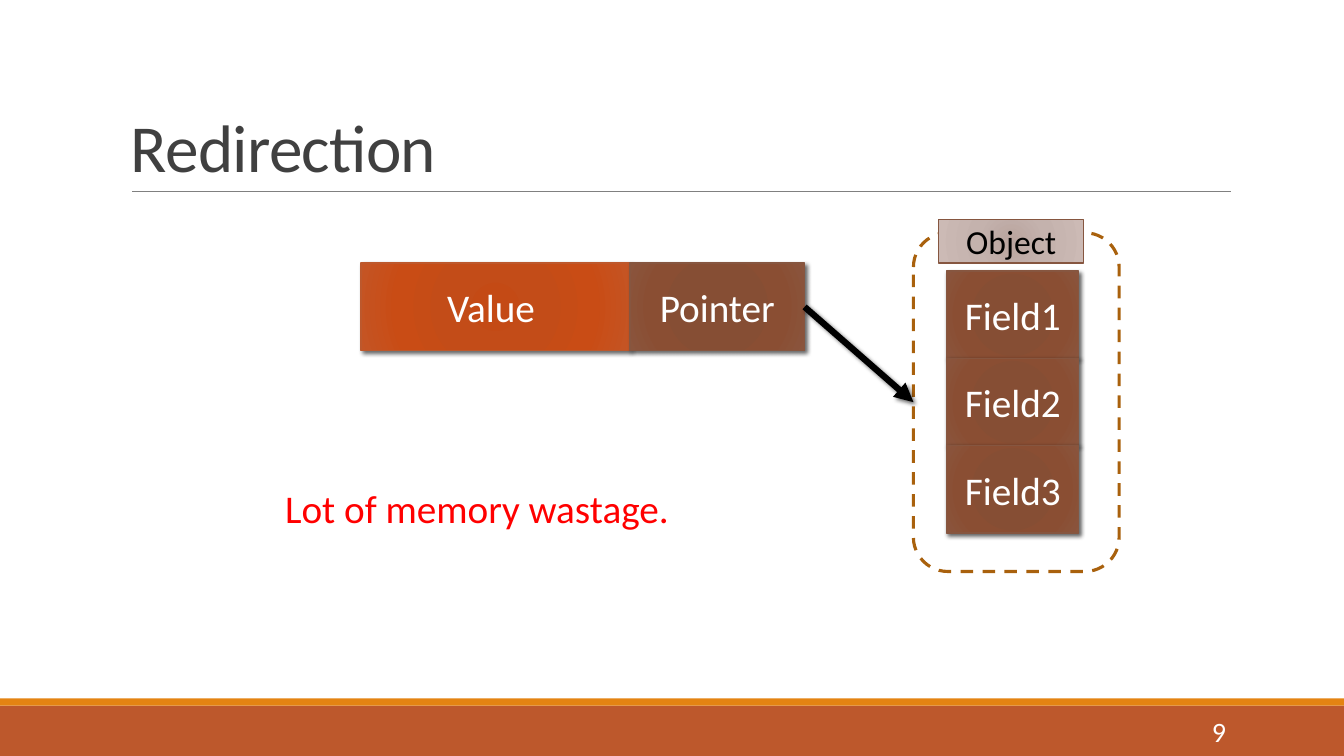
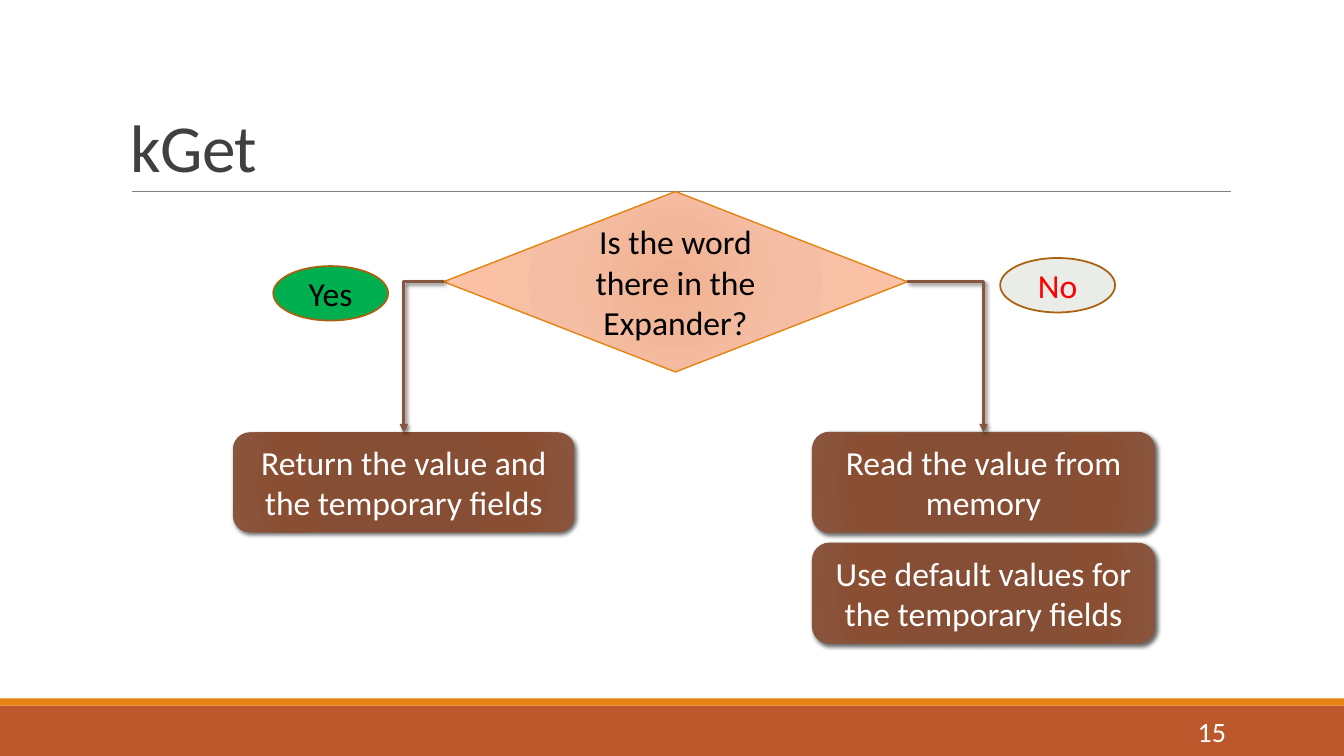
import pptx
import pptx.util
import pptx.dml.color
import pptx.enum.dml
import pptx.enum.shapes
import pptx.enum.text
import pptx.oxml
import pptx.oxml.ns
from lxml import etree

Inches = pptx.util.Inches
Pt = pptx.util.Pt
RGBColor = pptx.dml.color.RGBColor
SHAPE = pptx.enum.shapes.MSO_SHAPE
CONNECTOR = pptx.enum.shapes.MSO_CONNECTOR
ALIGN = pptx.enum.text.PP_ALIGN
ANCHOR = pptx.enum.text.MSO_ANCHOR
DASH = pptx.enum.dml.MSO_LINE.DASH
qn = pptx.oxml.ns.qn

FONT = "Calibri"
WHITE = RGBColor(0xFF, 0xFF, 0xFF)
BLACK = RGBColor(0x00, 0x00, 0x00)
RED = RGBColor(0xFF, 0x00, 0x00)
GREEN = RGBColor(0x00, 0xB0, 0x50)
PALE_GREY = RGBColor(0xEA, 0xEC, 0xE7)
GREY = RGBColor(0x80, 0x80, 0x80)
DARK_GREY = RGBColor(0x40, 0x40, 0x40)
RUST = RGBColor(0xBD, 0x58, 0x2C)
ORANGE = RGBColor(0xE4, 0x83, 0x12)
BROWN = RGBColor(0x86, 0x56, 0x40)
OCHRE = RGBColor(0xA9, 0x61, 0x0D)

RUST_GLOW = ((0, RGBColor(0xC4, 0x4A, 0x15)), (34, RGBColor(0xC3, 0x4C, 0x18)),
             (70, RGBColor(0xC9, 0x4C, 0x15)), (100, RGBColor(0xC4, 0x55, 0x25)))
BROWN_GLOW = ((0, RGBColor(0x87, 0x4C, 0x32)), (34, RGBColor(0x86, 0x4E, 0x34)),
              (70, RGBColor(0x8A, 0x4E, 0x33)), (100, RGBColor(0x8A, 0x55, 0x3D)))
MAUVE_GLOW = ((0, RGBColor(0xB9, 0xA4, 0x9E)), (45, RGBColor(0xC4, 0xB2, 0xAD)),
              (100, RGBColor(0xCC, 0xBA, 0xB5)))
PEACH_GLOW = ((0, RGBColor(0xF0, 0xB1, 0x91)), (45, RGBColor(0xF5, 0xBE, 0xA4)),
              (100, RGBColor(0xFD, 0xC3, 0xA8)))

RUST_BOX = {"fill": RUST_GLOW, "line": RUST, "shadow": True}
BROWN_BOX = {"fill": BROWN_GLOW, "line": BROWN, "shadow": True}
PLAIN_BROWN_BOX = {"fill": BROWN_GLOW, "shadow": True}
LABEL_BOX = {"fill": MAUVE_GLOW, "line": BROWN}
DECISION = {"fill": PEACH_GLOW, "line": ORANGE}
OUTLINE = {"line": OCHRE, "width": 2.25, "dash": DASH}
YES_OVAL = {"fill": GREEN, "line": OCHRE, "width": 1.25}
NO_OVAL = {"fill": PALE_GREY, "line": OCHRE, "width": 1.25}


def set_all(obj, values):
    for name, value in values.items():
        setattr(obj, name, value)


def put_text(sp, text, size, color, align=ALIGN.CENTER, anchor=ANCHOR.MIDDLE, wrap=True):
    tf = sp.text_frame
    set_all(tf, {"word_wrap": wrap, "vertical_anchor": anchor})
    p = tf.paragraphs[0]
    p.alignment = align
    r = p.add_run()
    r.text = text
    set_all(r.font, {"name": FONT, "size": Pt(size)})
    r.font.color.rgb = color
    return p


def add_text(s, box, text, size, color, **layout):
    sp = s.shapes.add_textbox(*map(Inches, box))
    return sp, put_text(sp, text, size, color, **layout)


def set_gradient(sp, stops):
    sp.fill.gradient()
    grad = sp._element.spPr.find(qn("a:gradFill"))
    for child in list(grad):
        grad.remove(child)
    gs_list = etree.SubElement(grad, qn("a:gsLst"))
    for pos, color in stops:
        gs = etree.SubElement(gs_list, qn("a:gs"), pos=str(pos * 1000))
        etree.SubElement(gs, qn("a:srgbClr"), val=str(color))
    circle = etree.SubElement(grad, qn("a:path"))
    circle.set("path", "circle")
    etree.SubElement(circle, qn("a:fillToRect"), {side: "100000" for side in "ltrb"})


def add_shadow(effects):
    shadow = etree.SubElement(effects, qn("a:outerShdw"), blurRad=str(Pt(3)), dist=str(Pt(2)),
                              dir="2700000", algn="tl", rotWithShape="0")
    color = etree.SubElement(shadow, qn("a:srgbClr"), val=str(BLACK))
    etree.SubElement(color, qn("a:alpha"), val="60000")


def add_box(s, kind, box, fill=None, line=None, width=1, dash=None, shadow=False):
    sp = s.shapes.add_shape(kind, *map(Inches, box))
    sp.shadow.inherit = False
    if isinstance(fill, tuple) and not isinstance(fill, RGBColor):
        set_gradient(sp, fill)
    elif fill is not None:
        sp.fill.solid()
        sp.fill.fore_color.rgb = fill
    else:
        sp.fill.background()
    if line is None:
        sp.line.fill.background()
    else:
        sp.line.color.rgb = line
        set_all(sp.line, {"width": Pt(width), "dash_style": dash})
    if shadow:
        add_shadow(sp._element.spPr.find(qn("a:effectLst")))
    return sp


def add_node(s, kind, box, text, size, color, style):
    sp = add_box(s, kind, box, **style)
    put_text(sp, text, size, color)
    return sp


def add_line(s, kind, ends, color, width):
    cx = s.shapes.add_connector(kind, *map(Inches, ends))
    cx.line.color.rgb = color
    cx.line.width = Pt(width)
    etree.SubElement(cx._element.spPr, qn("a:effectLst"))
    return cx


def add_arrow(s, kind, start, start_site, end, end_site, color, width):
    cx = add_line(s, kind, (0, 0, 0, 0), color, width)
    cx.begin_connect(start, start_site)
    cx.end_connect(end, end_site)
    spPr = cx._element.spPr
    if kind == CONNECTOR.ELBOW:
        spPr.find(qn("a:prstGeom")).set("prst", "bentConnector2")
    etree.SubElement(spPr.find(qn("a:ln")), qn("a:tailEnd"), type="triangle")
    add_shadow(spPr.find(qn("a:effectLst")))


def add_slide(prs, title, number):
    s = prs.slides.add_slide(prs.slide_layouts[6])
    add_box(s, SHAPE.RECTANGLE, (0, 7, 13.33, 0.5), fill=RUST)
    add_box(s, SHAPE.RECTANGLE, (0, 6.93, 13.33, 0.07), fill=ORANGE)
    add_line(s, CONNECTOR.STRAIGHT, (1.31, 1.9, 12.21, 1.9), GREY, 0.5)
    sp, p = add_text(s, (1.2, 0.31, 11, 1.59), title, 48, DARK_GREY,
                     align=ALIGN.LEFT, anchor=ANCHOR.BOTTOM)
    p.line_spacing = 0.85
    p.runs[0].font._element.set("spc", "-50")
    add_text(s, (10.83, 7.06, 1.43, 0.4), number, 20, WHITE, align=ALIGN.RIGHT)
    return s


def redirection_slide(prs):
    s = add_slide(prs, "Redirection", "9")
    add_node(s, SHAPE.RECTANGLE, (3.58, 2.61, 2.67, 0.87), "Value ", 28, WHITE, RUST_BOX)
    pointer = add_node(s, SHAPE.RECTANGLE, (6.25, 2.61, 1.73, 0.87), "Pointer", 28, WHITE,
                       BROWN_BOX)
    for i in range(3):
        add_node(s, SHAPE.RECTANGLE, (9.39, 2.69 + i * 0.865, 1.31, 0.87), f"Field{i + 1}",
                 28, WHITE, BROWN_BOX)
    outline = add_box(s, SHAPE.ROUNDED_RECTANGLE, (9.06, 2.31, 2.04, 3.36), **OUTLINE)
    add_arrow(s, CONNECTOR.STRAIGHT, pointer, 3, outline, 1, BLACK, 4.5)
    add_node(s, SHAPE.RECTANGLE, (9.31, 2.18, 1.44, 0.43), "Object", 24, BLACK, LABEL_BOX)
    sp, p = add_text(s, (2.73, 4.76, 4.04, 0.57), "Lot of memory wastage.", 28, RED,
                     align=ALIGN.LEFT, anchor=ANCHOR.TOP, wrap=False)
    sp.text_frame.auto_size = pptx.enum.text.MSO_AUTO_SIZE.SHAPE_TO_FIT_TEXT


def kget_slide(prs):
    s = add_slide(prs, "kGet", "15")
    decision = add_node(s, SHAPE.FLOWCHART_DECISION, (4.4, 1.9, 4.6, 1.79),
                        "Is the word there in the Expander?", 24, BLACK, DECISION)
    steps = [
        add_node(s, SHAPE.ROUNDED_RECTANGLE, (x, y, 3.39, 0.99), text, 24, WHITE, style)
        for x, y, text, style in (
            (2.31, 4.29, "Return the value and the temporary fields", PLAIN_BROWN_BOX),
            (8.06, 4.29, "Read the value from memory", BROWN_BOX),
            (8.06, 5.39, "Use default values for the temporary fields", BROWN_BOX),
        )
    ]
    for site, step in zip((1, 3), steps):
        add_arrow(s, CONNECTOR.ELBOW, decision, site, step, 0, BROWN, 2)
    add_node(s, SHAPE.OVAL, (2.71, 2.64, 1.14, 0.54), "Yes", 24, BLACK, YES_OVAL)
    add_node(s, SHAPE.OVAL, (9.92, 2.56, 1.14, 0.54), "No", 24, RED, NO_OVAL)


def main():
    prs = pptx.Presentation()
    set_all(prs, {"slide_width": Inches(13.33), "slide_height": Inches(7.5)})
    redirection_slide(prs)
    kget_slide(prs)
    prs.save("out.pptx")


if __name__ == "__main__":
    main()
